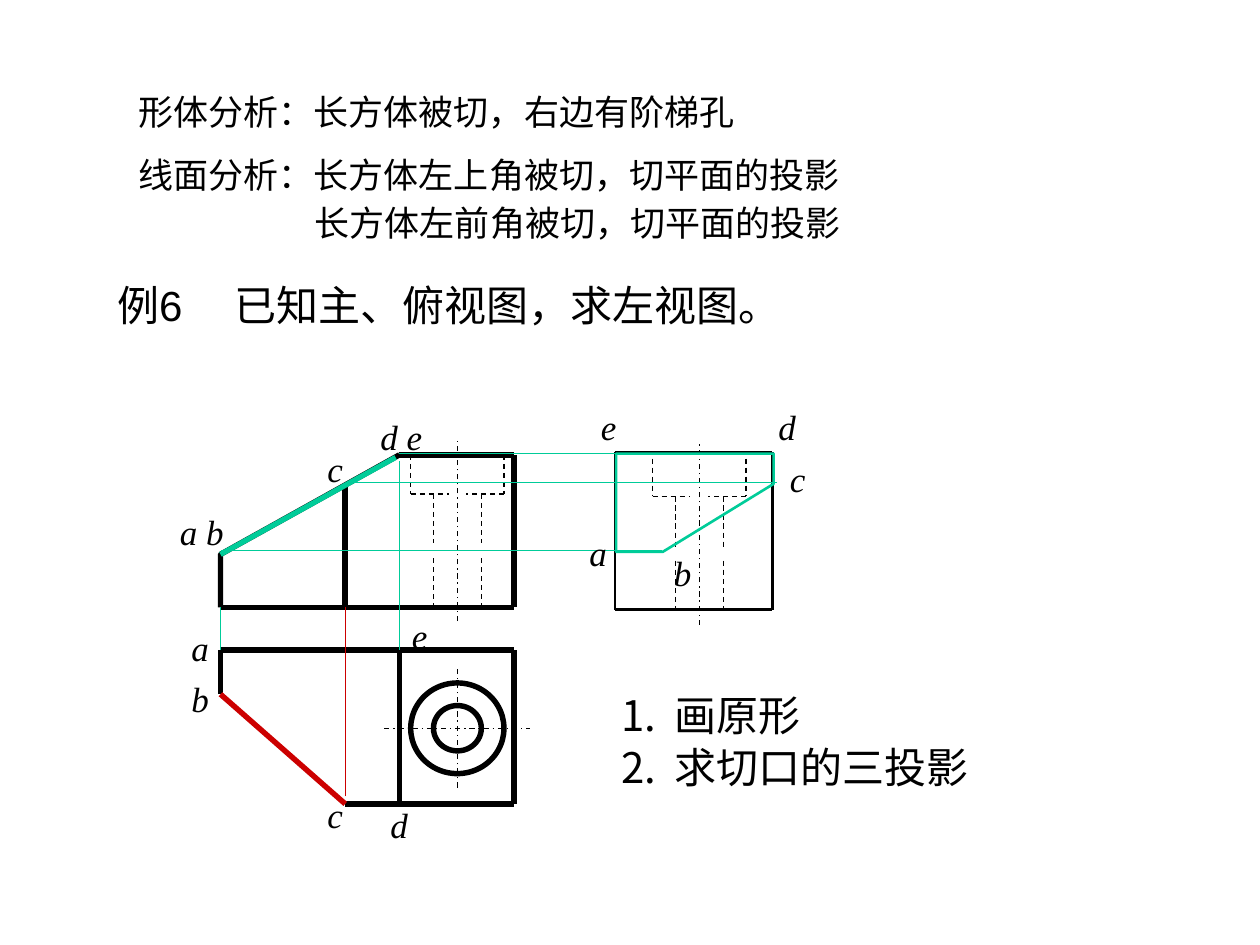
from lxml import etree
from pptx import Presentation
from pptx.dml.color import RGBColor
from pptx.enum.dml import MSO_LINE
from pptx.enum.shapes import MSO_CONNECTOR, MSO_SHAPE
from pptx.enum.text import MSO_ANCHOR, PP_ALIGN
from pptx.oxml.ns import qn
from pptx.util import Inches, Pt

STRAIGHT, OVAL = MSO_CONNECTOR.STRAIGHT, MSO_SHAPE.OVAL
TOP, LEFT = MSO_ANCHOR.TOP, PP_ALIGN.LEFT
DASH, DASH_DOT = MSO_LINE.DASH, MSO_LINE.DASH_DOT

THEME = {
    "ink": RGBColor(0x00, 0x00, 0x00),
    "red": RGBColor(0xCC, 0x00, 0x00),
    "green": RGBColor(0x00, 0xCC, 0x99),
    "sans": "Arial", "serif": "Times New Roman",
    "heading": 24, "body": 20,
    "thick": 3.12, "cut": 3, "medium": 1.5, "thin": 0.75,
}
SANS, SERIF = THEME["sans"], THEME["serif"]

# Content: text
HEADING = "例6\t已知主、俯视图，求左视图。"
ANALYSIS = [  # left, top, width, runs
    (1, 0.67, 5.67, [("形体分析", SANS), ("：", SERIF), ("长方体被切，右边有阶梯孔", SANS)]),
    (1, 1.17, 6.25, [("线面分析", SANS), ("：", SERIF), ("长方体左上角被切", SANS),
                     ("，", SERIF), ("切平面的投影", SANS)]),
    (2.4, 1.55, 6.25, [("长方体左前角被切", SANS), ("，", SERIF), ("切平面的投影", SANS)]),
]
STEPS = ["画原形", "求切口的三投影"]
POINT_LABELS = [  # text, left, top, width
    ("a b", 1.33, 4, 0.58), ("c", 2.5, 3.5, 0.58), ("d e", 2.92, 3.25, 0.58),
    ("e", 3.17, 4.83, 0.33), ("a", 1.42, 4.92, 0.33), ("b", 1.42, 5.33, 0.33),
    ("c", 2.5, 6.25, 0.33), ("d", 3, 6.33, 0.33),
    ("b", 5.25, 4.33, 0.25), ("a", 4.58, 4.17, 0.25), ("c", 6.17, 3.58, 0.33),
    ("e", 4.67, 3.17, 0.33), ("d", 6.08, 3.17, 0.42),
]

# Content: geometry in inches
X_LEFT, X_C, X_D, X_RIGHT = 1.75, 2.74, 3.17, 4.08
FRONT_TOP, FRONT_C, FRONT_A, FRONT_BOTTOM = 3.61, 3.85, 4.4, 4.82
PLAN_TOP, PLAN_B, PLAN_BOTTOM = 5.16, 5.51, 6.38
SIDE_LEFT, SIDE_RIGHT, SIDE_TOP, SIDE_BOTTOM = 4.88, 6.13, 3.59, 4.84
HOLE_X, HOLE_Y = 3.63, 5.78
BORE, DRILL = 0.37, 0.19

FRONT_AND_PLAN = [
    (X_C, FRONT_BOTTOM, X_C, FRONT_C),
    (X_D, FRONT_TOP, X_RIGHT, FRONT_TOP),
    (X_RIGHT, FRONT_TOP, X_RIGHT, FRONT_BOTTOM),
    (X_LEFT, FRONT_BOTTOM, X_RIGHT, FRONT_BOTTOM),
    (X_LEFT, PLAN_TOP, X_RIGHT, PLAN_TOP),
    (X_LEFT, PLAN_TOP, X_LEFT, PLAN_B),
    (X_D, PLAN_TOP, X_D, PLAN_BOTTOM),
    (X_RIGHT, PLAN_TOP, X_RIGHT, PLAN_BOTTOM),
    (X_C, PLAN_BOTTOM, X_RIGHT, PLAN_BOTTOM),
]
SLOPE = [(X_D, FRONT_TOP), (X_LEFT, FRONT_A), (X_LEFT, FRONT_BOTTOM)]
SIDE_VIEW = [
    (SIDE_LEFT, SIDE_TOP, SIDE_RIGHT, SIDE_TOP),
    (SIDE_LEFT, SIDE_TOP, SIDE_LEFT, SIDE_BOTTOM),
    (SIDE_RIGHT, SIDE_TOP, SIDE_RIGHT, SIDE_BOTTOM),
    (SIDE_LEFT, SIDE_BOTTOM, SIDE_RIGHT, SIDE_BOTTOM),
]
STEPPED_HOLES = [  # axis x, top, step, break start, break end, bottom
    (HOLE_X, 3.61, 3.92, 4.31, 4.43, 4.82),
    (5.55, 3.64, 3.94, 4.34, 4.45, 4.84),
]
CENTRE_LINES = [
    (HOLE_X, 4.93, HOLE_X, 3.5), (HOLE_X, 6.25, HOLE_X, 5.29),
    (3.05, HOLE_Y, 4.21, HOLE_Y), (5.55, 4.96, 5.55, 3.51),
]
PROJECTORS = [
    (X_LEFT, FRONT_BOTTOM, X_LEFT, PLAN_TOP), (X_D, 3.66, X_D, PLAN_TOP),
    (X_LEFT, 4.37, 5.25, 4.37), (2.75, 3.83, 6.17, 3.83), (X_D, 3.6, 4.92, 3.6),
]
SIDE_CUT = [(6.14, 3.84), (5.26, 4.38), (4.89, 4.38), (4.89, 3.6), (6.14, 3.6), (6.14, 3.84)]


def style_line(line, color, weight, dash=None):
    line.color.rgb = THEME[color]
    line.width = Pt(THEME[weight])
    if dash:
        line.dash_style = dash


def draw_lines(slide, segments, color, weight, dash=None):
    for segment in segments:
        edge = slide.shapes.add_connector(STRAIGHT, *map(Inches, segment))
        etree.SubElement(edge._element.spPr, qn("a:effectLst"))
        style_line(edge.line, color, weight, dash)


def draw_outline(slide, points, color, weight):
    corners = [(Inches(x), Inches(y)) for x, y in points]
    builder = slide.shapes.build_freeform(*corners[0])
    builder.add_line_segments(corners[1:], close=points[0] == points[-1])
    outline = builder.convert_to_shape()
    outline.fill.background()
    outline.shadow.inherit = False
    style_line(outline.line, color, weight)


def draw_hole_circle(slide, rx, ry):
    circle = slide.shapes.add_shape(
        OVAL, *map(Inches, (HOLE_X - rx, HOLE_Y - ry, 2 * rx, 2 * ry)))
    circle.fill.background()
    circle.shadow.inherit = False
    style_line(circle.line, "ink", "thick")


def stepped_hole(axis, top, step, break_start, break_end, bottom):
    """Hidden edges of the counterbored hole, mirrored about its axis."""
    for side in (-1, 1):
        bore, drill = axis + side * BORE, axis + side * DRILL
        yield bore, top, bore, step
        yield bore, step, axis + side * 0.07, step
        yield drill, step, drill, break_start
        yield drill, break_end, drill, bottom


def place(box, left, top, width, height):
    box.left, box.top, box.width, box.height = map(Inches, (left, top, width, height))
    frame = box.text_frame
    frame.word_wrap = True
    frame.vertical_anchor = TOP
    return frame


def add_run(paragraph, text, font, size, italic=False):
    run = paragraph.add_run()
    run.text = text
    run.font.name, run.font.size = font, Pt(THEME[size])
    run.font.italic = italic
    run.font.color.rgb = THEME["ink"]


def add_text(slide, left, top, width, runs, italic=False):
    box = slide.shapes.add_textbox(0, 0, 0, 0)
    paragraph = place(box, left, top, width, 0.44).paragraphs[0]
    for text, font in runs:
        add_run(paragraph, text, font, "body", italic)


def fill_heading(title):
    paragraph = place(title, 0.83, 2.17, 5.58, 0.5).paragraphs[0]
    paragraph.alignment = LEFT
    tabs = etree.SubElement(paragraph._p.get_or_add_pPr(), qn("a:tabLst"))
    etree.SubElement(tabs, qn("a:tab"), pos=str(Inches(0.93)), algn="l")
    add_run(paragraph, HEADING, SANS, "heading")


def fill_steps(body):
    frame = place(body, 4.83, 5.42, 4.75, 1)
    for i, step in enumerate(STEPS):
        paragraph = frame.paragraphs[0] if i == 0 else frame.add_paragraph()
        paragraph.line_spacing = 1.0
        paragraph.space_before = Pt(1 if i else 0)
        props = paragraph._p.get_or_add_pPr()
        props.set("marL", str(Inches(0.42)))
        props.set("indent", str(-Inches(0.42)))
        etree.SubElement(props, qn("a:buFont"), typeface=SERIF)
        etree.SubElement(props, qn("a:buAutoNum"), type="arabicPeriod")
        add_run(paragraph, step, SANS, "heading")


def main():
    deck = Presentation()
    deck.slide_width, deck.slide_height = Inches(10), Inches(7.5)
    slide = deck.slides.add_slide(deck.slide_layouts[1])
    fill_heading(slide.shapes.title)
    fill_steps(slide.placeholders[1])
    for left, top, width, runs in ANALYSIS:
        add_text(slide, left, top, width, runs)

    draw_lines(slide, SIDE_VIEW, "ink", "medium")
    draw_lines(slide, FRONT_AND_PLAN, "ink", "thick")
    draw_outline(slide, SLOPE, "ink", "thick")
    for hole in STEPPED_HOLES:
        draw_lines(slide, stepped_hole(*hole), "ink", "thin", DASH)
    draw_hole_circle(slide, BORE, 0.36)
    draw_hole_circle(slide, DRILL, 0.18)
    draw_lines(slide, CENTRE_LINES, "ink", "thin", DASH_DOT)

    draw_lines(slide, [(X_C, PLAN_BOTTOM, X_LEFT, PLAN_B)], "red", "thick")
    draw_lines(slide, [(X_C, 6.32, X_C, FRONT_BOTTOM)], "red", "thin")
    draw_lines(slide, [(X_LEFT, FRONT_A, 3.14, 3.63)], "green", "cut")
    draw_lines(slide, PROJECTORS, "green", "thin")
    draw_outline(slide, SIDE_CUT, "green", "medium")
    for text, left, top, width in POINT_LABELS:
        add_text(slide, left, top, width, [(text, SERIF)], italic=True)
    deck.save("out.pptx")


if __name__ == "__main__":
    main()
